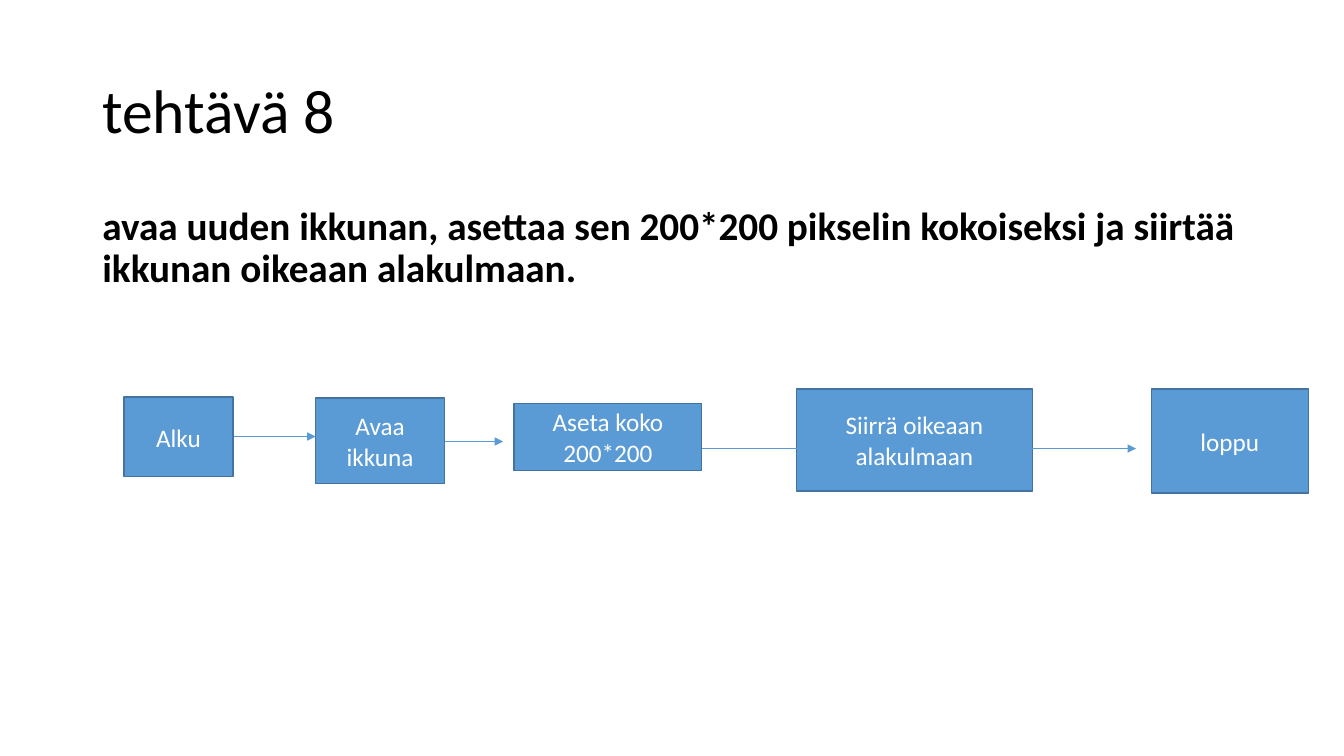
from lxml import etree
from pptx import Presentation, util as u
from pptx.dml.color import RGBColor
from pptx.enum import shapes, text
from pptx.oxml.ns import qn

presentation = Presentation()
presentation.slide_width = u.Inches(13.333)
presentation.slide_height = u.Inches(7.5)
COLUMN = presentation.slide_width / 100
ROW = presentation.slide_height / 100

BLUE, DARK_BLUE, BLACK, WHITE = "5B9BD5", "43739E", "000000", "FFFFFF"

STEPS = [
    ("Alku", 0, 1.07, 8.1, 10.53),
    ("Avaa ikkuna", 14.25, 1.2, 9.6, 11.33),
    ("Aseta koko 200*200", 29.03, 1.87, 13.95, 8.93),
    ("Siirrä oikeaan\nalakulmaan", 50.03, 0, 17.55, 13.47),
    ("loppu", 76.43, 0, 11.7, 13.73),
]
ARROWS = [(8.18, 14.25, 6.27), (23.85, 28.2, 6.93), (42.98, 53.1, 7.87), (66.53, 75.3, 7.87)]


def color(value):
    return RGBColor.from_string(value)


def place(column, row, width, height):
    return [round(length) for length in (column * COLUMN, row * ROW, width * COLUMN, height * ROW)]


def style(paragraph, size, value, bold=False):
    font = paragraph.font
    font.name, font.size, font.bold = "Calibri", u.Pt(size), bold
    font.color.rgb = color(value)


def add_text(slide, box, content, size, anchor, bold=False, space_before=0):
    frame = slide.shapes.add_textbox(*place(*box)).text_frame
    frame.word_wrap = True
    frame.vertical_anchor = anchor
    frame.text = content
    paragraph = frame.paragraphs[0]
    paragraph.line_spacing = 0.9
    paragraph.space_before = u.Pt(space_before)
    style(paragraph, size, BLACK, bold)


def add_step(slide, box, label):
    shape = slide.shapes.add_shape(shapes.MSO_SHAPE.RECTANGLE, *place(*box))
    shape.shadow.inherit = False
    shape.fill.solid()
    shape.fill.fore_color.rgb = color(BLUE)
    shape.line.color.rgb = color(DARK_BLUE)
    shape.line.width = u.Pt(1)
    frame = shape.text_frame
    frame.word_wrap = True
    frame.vertical_anchor = text.MSO_ANCHOR.MIDDLE
    frame.text = label
    for paragraph in frame.paragraphs:
        paragraph.alignment = text.PP_ALIGN.CENTER
        style(paragraph, 18, WHITE)


def add_arrow(slide, start, end, row):
    left, top, width, height = place(start, row, end - start, 0)
    arrow = slide.shapes.add_connector(
        shapes.MSO_CONNECTOR.STRAIGHT, left, top, left + width, top + height)
    arrow.line.color.rgb = color(BLUE)
    arrow.line.width = u.Pt(0.5)
    etree.SubElement(arrow.line._get_or_add_ln(), qn("a:tailEnd"), type="triangle")
    etree.SubElement(arrow._element.spPr, qn("a:effectLst"))


def add_flow(slide, left, top):
    for label, column, row, width, height in STEPS:
        add_step(slide, (left + column, top + row, width, height), label)
    for start, end, row in ARROWS:
        add_arrow(slide, left + start, left + end, top + row)


def add_task_slide():
    slide = presentation.slides.add_slide(presentation.slide_layouts[6])
    add_text(slide, (6.88, 5.33, 86.25, 19.33), "tehtävä 8", 44, text.MSO_ANCHOR.MIDDLE)
    add_text(slide, (6.88, 26.67, 86.25, 63.47),
             "avaa uuden ikkunan, asettaa sen 200*200 pikselin kokoiseksi "
             "ja siirtää ikkunan oikeaan alakulmaan.",
             28, text.MSO_ANCHOR.TOP, bold=True, space_before=10)
    add_flow(slide, 9.23, 51.47)


add_task_slide()
presentation.save("out.pptx")
